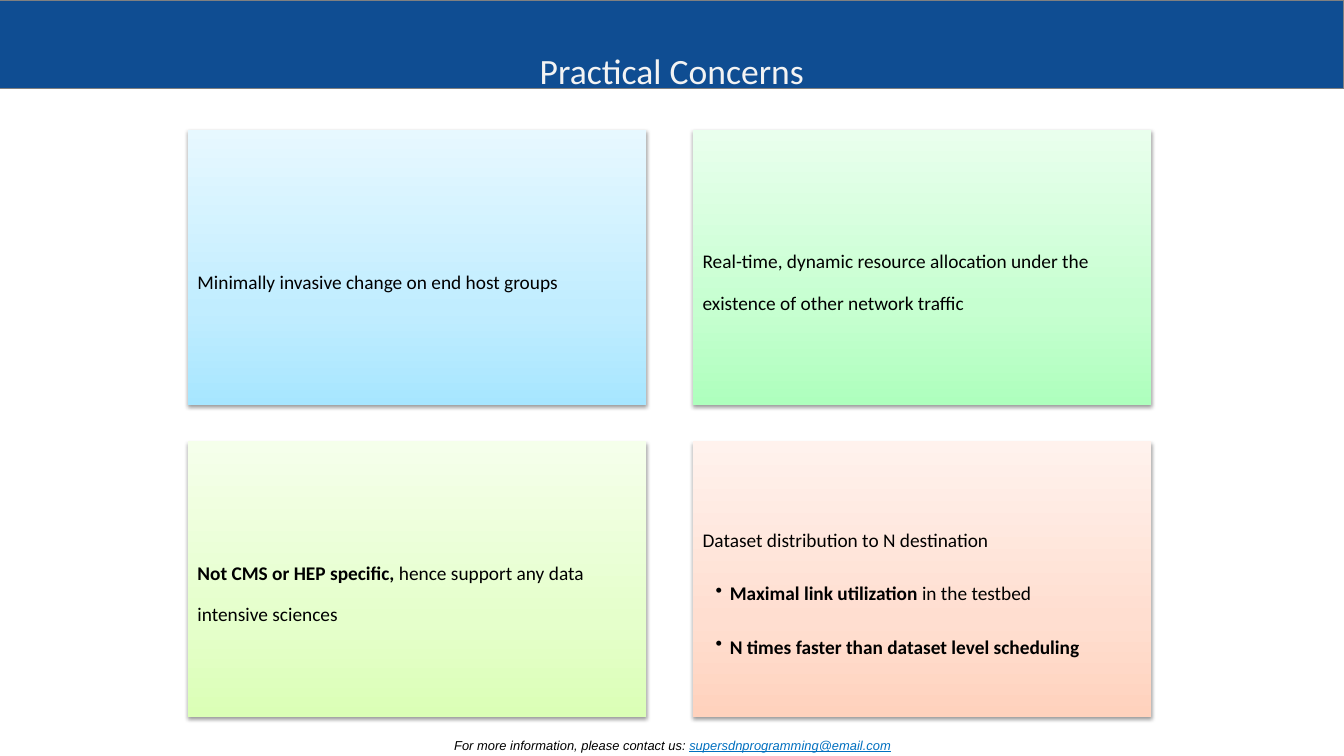
import copy
from dataclasses import dataclass

import pptx
import pptx.util
from lxml import etree
from pptx.dml.color import RGBColor
from pptx.enum.shapes import MSO_SHAPE
from pptx.enum.text import MSO_ANCHOR, PP_ALIGN
from pptx.oxml.ns import qn
from pptx.util import Inches, Pt


@dataclass(frozen=True)
class Theme:
    banner: str = "0F4D92"
    banner_line: str = "808080"
    title: str = "F3F3F3"
    text: str = "000000"
    link: str = "0070C0"
    # Gradient colours run from the bottom of a card to its top
    blue: tuple = ("A7E6FF", "C1EDFF", "E7F8FF")
    green: tuple = ("AEFFBD", "C6FFD0", "E9FFED")
    lime: tuple = ("DBFFB6", "E5FFCB", "F5FFEB")
    peach: tuple = ("FFD2BD", "FFDED0", "FFF2ED")
    font: str = "Calibri"
    footer_font: str = "Arial"
    title_size: float = 25.4
    body_size: float = 13.8
    footer_size: float = 9.2


THEME = Theme()
WIDTH, HEIGHT = 13.33, 7.5
CARD_WIDTH, CARD_HEIGHT = 4.55, 2.73
CARD_LEFT, CARD_TOP = 1.86, 1.29
COLUMN_STEP, ROW_STEP = 5.01, 3.09
GRADIENT_POSITIONS = (0, 0.35, 1)

# Each card: gradient, then paragraphs as (bulleted, [(text, bold), ...])
CARDS = [
    (THEME.blue, [
        (False, [("Minimally invasive change on end host groups", False)])]),
    (THEME.green, [
        (False, [("Real-time, dynamic resource allocation under the existence "
                  "of other network traffic", False)])]),
    (THEME.lime, [
        (False, [("Not CMS or HEP specific, ", True),
                 ("hence support any data intensive sciences", False)])]),
    (THEME.peach, [
        (False, [("Dataset distribution to N destination", False)]),
        (True, [("Maximal link utilization ", True), ("in the testbed", False)]),
        (True, [("N times faster than dataset level scheduling", True)])]),
]


def color(value):
    return RGBColor.from_string(value)


def set_font(font, name, size, value):
    font.name, font.size = name, Pt(size)
    font.color.rgb = color(value)


def add_banner(page):
    banner = page.shapes.add_shape(
        MSO_SHAPE.RECTANGLE, 0, 0, Inches(WIDTH), Inches(0.88))
    banner.shadow.inherit = False
    banner.fill.solid()
    banner.fill.fore_color.rgb = color(THEME.banner)
    banner.line.color.rgb = color(THEME.banner_line)
    banner.line.width = Pt(0.75)


def add_centered_line(page, left, top, width, height, bottom_inset=0):
    """Add a bottom-anchored text box and return its centred paragraph."""
    box = page.shapes.add_textbox(
        Inches(left), Inches(top), Inches(width), Inches(height))
    frame = box.text_frame
    frame.word_wrap = True
    frame.vertical_anchor = MSO_ANCHOR.BOTTOM
    frame.margin_top = 0
    frame.margin_bottom = Inches(bottom_inset)
    para = frame.paragraphs[0]
    para.alignment = PP_ALIGN.CENTER
    return para


def fill_gradient(shape, colors):
    shape.fill.gradient()
    shape.fill.gradient_angle = 90
    stop_list = shape._element.spPr.find(qn("a:gradFill")).find(qn("a:gsLst"))
    stop_list.append(copy.deepcopy(stop_list[0]))
    for stop, position, value in zip(
            shape.fill.gradient_stops, GRADIENT_POSITIONS, colors):
        stop.position = position
        stop.color.rgb = color(value)


def add_shadow(shape):
    effects = etree.SubElement(shape._element.spPr, qn("a:effectLst"))
    shadow = etree.SubElement(
        effects, qn("a:outerShdw"), blurRad=str(Pt(3.1)), dist=str(Pt(1.6)),
        dir="5400000", rotWithShape="0")
    shade = etree.SubElement(shadow, qn("a:srgbClr"), val="000000")
    etree.SubElement(shade, qn("a:alpha"), val="38000")


def add_bullet(para):
    properties = para._p.get_or_add_pPr()
    properties.set("marL", str(Inches(0.27)))
    properties.set("indent", str(Inches(-0.14)))
    etree.SubElement(properties, qn("a:buChar"), char="•")


def write_paragraph(para, bulleted, spans):
    para.alignment = PP_ALIGN.LEFT
    para.line_spacing = Pt(29.6)
    if bulleted:
        para.space_before = Pt(8.3)
        add_bullet(para)
    set_font(para.font, THEME.font, THEME.body_size, THEME.text)
    for text, bold in spans:
        span = para.add_run()
        span.text = text
        span.font.bold = bold


def add_card(page, left, top, colors, paragraphs):
    card = page.shapes.add_shape(
        MSO_SHAPE.RECTANGLE, Inches(left), Inches(top),
        Inches(CARD_WIDTH), Inches(CARD_HEIGHT))
    fill_gradient(card, colors)
    card.line.fill.background()
    add_shadow(card)
    frame = card.text_frame
    frame.word_wrap = True
    frame.vertical_anchor = MSO_ANCHOR.MIDDLE
    frame.margin_left = frame.margin_right = frame.margin_bottom = Inches(0.1)
    frame.margin_top = Inches(0.2)
    for index, (bulleted, spans) in enumerate(paragraphs):
        para = frame.add_paragraph() if index else frame.paragraphs[0]
        write_paragraph(para, bulleted, spans)


def add_footer(page):
    para = add_centered_line(page, 1.1, 7.12, 11.14, 0.37, bottom_inset=0.02)
    for text, value, underlined in (
            ("For more information, please contact us: ", THEME.text, False),
            ("supersdnprogramming@email.com", THEME.link, True)):
        span = para.add_run()
        span.text = text
        set_font(span.font, THEME.footer_font, THEME.footer_size, value)
        span.font.italic = True
        span.font.underline = underlined


def main():
    deck = pptx.Presentation()
    deck.slide_width, deck.slide_height = Inches(WIDTH), Inches(HEIGHT)
    page = deck.slides.add_slide(deck.slide_layouts[6])

    # Banner and title
    add_banner(page)
    title = add_centered_line(page, 0, 0.01, WIDTH, 0.9)
    title.text = "Practical Concerns"
    set_font(title.font, THEME.font, THEME.title_size, THEME.title)

    # Two by two grid of concerns
    for index, (colors, paragraphs) in enumerate(CARDS):
        row, column = divmod(index, 2)
        add_card(page, CARD_LEFT + column * COLUMN_STEP,
                 CARD_TOP + row * ROW_STEP, colors, paragraphs)

    # Contact line
    add_footer(page)
    deck.save("out.pptx")


if __name__ == "__main__":
    main()
